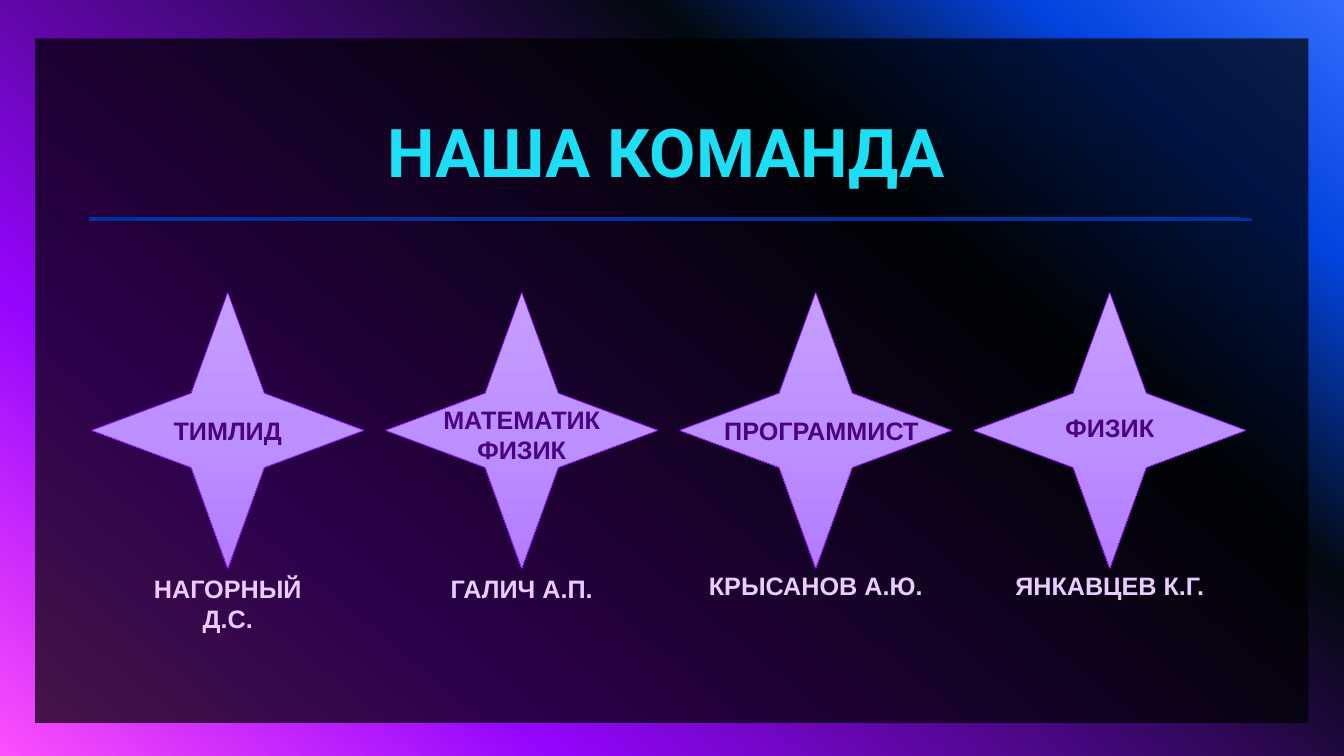
from collections import namedtuple
from dataclasses import dataclass

from lxml import etree
from pptx import Presentation
from pptx.dml.color import RGBColor
from pptx.enum.shapes import MSO_CONNECTOR as Connector, MSO_SHAPE as Shape
from pptx.enum.text import MSO_ANCHOR as Anchor, PP_ALIGN as Align
from pptx.oxml.ns import qn
from pptx.util import Pt

Box = namedtuple("Box", "left top width height")
Member = namedtuple(
    "Member", "role role_width role_shift role_top name name_width name_top"
)


@dataclass(frozen=True)
class Theme:
    background: tuple = (
        (0, "316CFC"), (14, "0343DF"), (31, "02090E"), (75, "9405FC"), (100, "FC4EFB")
    )
    star: tuple = ((0, "C69EFF"), (50, "BC91FF"), (100, "B37CFF"))
    panel: str = "000000"
    panel_opacity: int = 70
    rule: str = "03309F"
    outline: str = "9405FC"
    title: str = "1CDFF5"
    role: str = "4A027F"
    name: str = "EACDFE"
    title_font: str = "Roboto"
    body_font: str = "Arial"
    title_size: int = 48
    body_size: int = 18


THEME = Theme()

TEAM = (
    Member(("ТИМЛИД",), 98.6, 0, 84.2, "НАГОРНЫЙ Д.С.", 158.4, 197.3),
    Member(("МАТЕМАТИК", "ФИЗИК"), 126.7, 0, 76.3, "ГАЛИЧ А.П.", 141.8, 197.3),
    Member(("ПРОГРАММИСТ",), 154.8, 4, 84.2, "КРЫСАНОВ А.Ю.", 184.3, 195.1),
    Member(("ФИЗИК",), 89.3, 0, 82.1, "ЯНКАВЦЕВ К.Г.", 184.3, 195.1),
)


def color(value):
    return RGBColor.from_string(value)


def apply_gradient(fill, element, stops, angle):
    fill.gradient()
    fill.gradient_angle = (360 - angle) % 360
    stop_list = next(element.iter(qn("a:gsLst")))
    for stop in list(stop_list):
        stop_list.remove(stop)
    for position, value in stops:
        stop = etree.SubElement(stop_list, qn("a:gs"), pos=str(position * 1000))
        etree.SubElement(stop, qn("a:srgbClr"), val=value)


def add_text(slide, box, lines, font_name, size, value, anchor=Anchor.TOP):
    shape = slide.shapes.add_textbox(*map(Pt, box))
    frame = shape.text_frame
    frame.word_wrap = True
    frame.vertical_anchor = anchor
    paragraph = frame.paragraphs[0]
    paragraph.alignment = Align.CENTER
    for index, line in enumerate(lines):
        if index:
            paragraph.add_line_break()
        run = paragraph.add_run()
        run.text = line
        run.font.name = font_name
        run.font.size = Pt(size)
        run.font.bold = True
        run.font.color.rgb = color(value)
    return shape


def add_panel(slide, box):
    panel = slide.shapes.add_shape(Shape.RECTANGLE, *map(Pt, box))
    panel.shadow.inherit = False
    panel.fill.solid()
    panel.fill.fore_color.rgb = color(THEME.panel)
    panel.line.fill.background()
    panel_color = next(panel._element.spPr.iter(qn("a:srgbClr")))
    etree.SubElement(panel_color, qn("a:alpha"), val=str(THEME.panel_opacity * 1000))


def add_rule(slide, left, right, top):
    rule = slide.shapes.add_connector(
        Connector.STRAIGHT, Pt(left), Pt(top), Pt(right), Pt(top)
    )
    rule.line.color.rgb = color(THEME.rule)
    rule.line.width = Pt(2)
    etree.SubElement(rule._element.spPr, qn("a:effectLst"))


def add_header(slide, box):
    left, top, width, height = box
    add_rule(slide, left - 2, left + width + 0.8, top + 106.6)
    add_rule(slide, left - 2, left + width - 8, top + 105.8)
    title = add_text(
        slide, box, ("НАША КОМАНДА",), THEME.title_font,
        THEME.title_size, THEME.title, Anchor.BOTTOM,
    )
    title.text_frame.margin_left = 0
    title.text_frame.paragraphs[0].line_spacing = 0.9


def add_star(slide, box):
    star = slide.shapes.add_shape(Shape.STAR_4_POINT, *map(Pt, box))
    star.shadow.inherit = False
    star.adjustments[0] = 0.19
    apply_gradient(star.fill, star._element.spPr, THEME.star, 90)
    star.line.color.rgb = color(THEME.outline)
    star.line.width = Pt(0.5)


def add_member(slide, box, member):
    add_star(slide, box)
    center = box.left + box.width / 2
    labels = (
        (member.role, member.role_width, member.role_shift, member.role_top, THEME.role),
        ((member.name,), member.name_width, 0, member.name_top, THEME.name),
    )
    for lines, width, shift, top, value in labels:
        label_box = Box(
            center + shift - width / 2, box.top + top, width, 7.2 + 21.8 * len(lines)
        )
        add_text(slide, label_box, lines, THEME.body_font, THEME.body_size, value)


def add_team(slide, box):
    star_width = 194.4
    step = (box.width - star_width) / (len(TEAM) - 1)
    for index, member in enumerate(TEAM):
        star_box = Box(box.left + index * step, box.top, star_width, box.height)
        add_member(slide, star_box, member)


def add_team_slide(presentation):
    slide = presentation.slides.add_slide(presentation.slide_layouts[6])
    apply_gradient(slide.background.fill, slide._element, THEME.background, 130)
    add_panel(slide, Box(25.2, 27.4, 909.4, 488.9))
    add_header(slide, Box(65.5, 50.4, 828, 90))
    add_team(slide, Box(65.5, 208.8, 824.4, 197.3))


def main():
    presentation = Presentation()
    presentation.slide_width = Pt(960)
    presentation.slide_height = Pt(540)
    add_team_slide(presentation)
    presentation.save("out.pptx")


if __name__ == "__main__":
    main()
